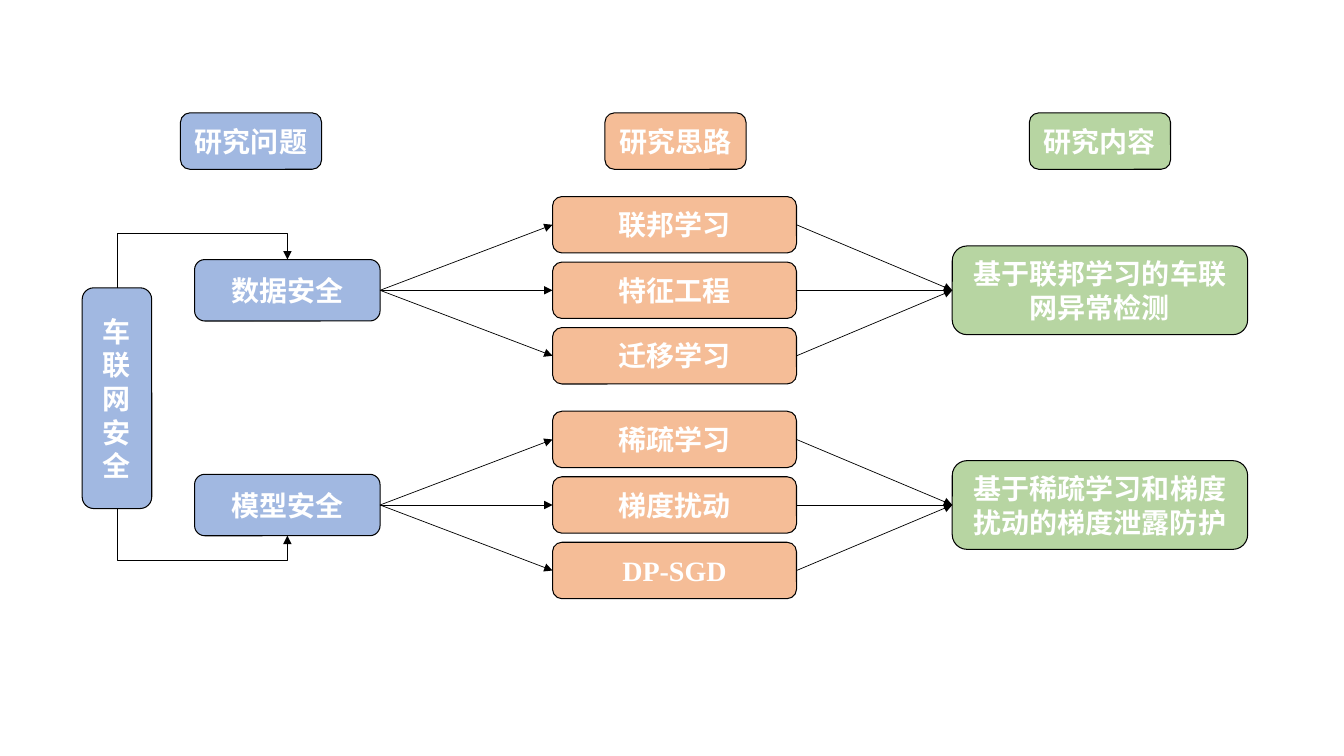
from dataclasses import dataclass

from lxml import etree
from pptx import Presentation
from pptx import util as u
from pptx.dml.color import RGBColor
from pptx.enum import shapes, text
from pptx.oxml.ns import qn


@dataclass(frozen=True)
class Theme:
    """Colours, type and line widths of the slide."""
    blue: str = "4472C4"
    orange: str = "ED7D31"
    green: str = "70AD47"
    ink: str = "000000"
    white: str = "FFFFFF"
    font: str = "Times New Roman"
    size: float = 20
    border: float = 0.75
    arrow: float = 0.5
    alpha: int = 50


class Diagram:
    """Draws boxes and arrows on one slide in one theme."""

    def __init__(self, slide, theme):
        self.shapes = slide.shapes
        self.theme = theme

    def _line(self, line, width):
        line.color.rgb = RGBColor.from_string(self.theme.ink)
        line.width = u.Pt(width)

    def box(self, label, colour, cx, cy, width, height):
        """Add a translucent rounded box centred on a point."""
        t = self.theme
        sp = self.shapes.add_shape(
            shapes.MSO_SHAPE.ROUNDED_RECTANGLE,
            u.Inches(cx - width / 2), u.Inches(cy - height / 2),
            u.Inches(width), u.Inches(height))
        sp.shadow.inherit = False
        sp.fill.solid()
        sp.fill.fore_color.rgb = RGBColor.from_string(colour)
        rgb = sp.fill._xPr.find(qn("a:solidFill")).find(qn("a:srgbClr"))
        etree.SubElement(rgb, qn("a:alpha"), val=str(t.alpha * 1000))
        self._line(sp.line, t.border)
        tf = sp.text_frame
        tf.word_wrap = True
        tf.vertical_anchor = text.MSO_ANCHOR.MIDDLE
        tf.text = label
        p = tf.paragraphs[0]
        p.alignment = text.PP_ALIGN.CENTER
        font = p.runs[0].font
        font.name, font.size, font.bold = t.font, u.Pt(t.size), True
        font.color.rgb = RGBColor.from_string(t.white)

    def arrow(self, start, end, kind=shapes.MSO_CONNECTOR.STRAIGHT):
        """Add a connector with a triangle at its end."""
        cn = self.shapes.add_connector(
            kind, *(u.Inches(v) for v in (*start, *end)))
        self._line(cn.line, self.theme.arrow)
        etree.SubElement(cn.line._get_or_add_ln(), qn("a:tailEnd"), type="triangle")
        etree.SubElement(cn._element.spPr, qn("a:effectLst"))
        return cn

    def elbow(self, start, end, rotation, bend):
        """Add a bent arrow that leaves and arrives vertically."""
        (x1, y1), (x2, y2) = start, end
        cx, cy = (x1 + x2) / 2, (y1 + y2) / 2
        dx, dy = (x2 - x1) / 2, (y2 - y1) / 2
        turn = 1 if rotation == 90 else -1
        hx, hy = turn * dy, -turn * dx
        cn = self.arrow((cx - hx, cy - hy), (cx + hx, cy + hy),
                        shapes.MSO_CONNECTOR.ELBOW)
        spPr = cn._element.spPr
        spPr.find(qn("a:xfrm")).set("rot", str(rotation * 60000))
        geom = spPr.find(qn("a:prstGeom"))
        guides = geom.find(qn("a:avLst"))
        if guides is None:
            guides = etree.SubElement(geom, qn("a:avLst"))
        etree.SubElement(guides, qn("a:gd"), name="adj1",
                         fmla=f"val {round(bend * 100000)}")


def main():
    """Build the research overview and save it."""
    prs = Presentation()
    prs.slide_width, prs.slide_height = u.Inches(13.33), u.Inches(7.5)
    theme = Theme()
    d = Diagram(prs.slides.add_slide(prs.slide_layouts[6]), theme)

    headers = [("研究问题", theme.blue), ("研究思路", theme.orange),
               ("研究内容", theme.green)]
    for i, (label, colour) in enumerate(headers):
        d.box(label, colour, 2.49 + 4.21 * i, 1.4, 1.4, 0.56)

    root_x, root_y, root_h = 1.16, 3.95, 2.19
    problem_x, problem_w, problem_h = 2.85, 1.84, 0.61
    idea_x, idea_w, idea_step = 6.69, 2.42, 0.65
    content_x, content_w = 10.91, 2.93
    d.box("车联网安全", theme.blue, root_x, root_y, 0.69, root_h)

    branches = [
        (2.88, -1, 90, "数据安全", ["联邦学习", "特征工程", "迁移学习"],
         "基于联邦学习的车联网异常检测"),
        (5.01, 1, 270, "模型安全", ["稀疏学习", "梯度扰动", "DP-SGD"],
         "基于稀疏学习和梯度扰动的梯度泄露防护"),
    ]
    for y, side, rotation, problem, ideas, content in branches:
        d.box(problem, theme.blue, problem_x, y, problem_w, problem_h)
        d.box(content, theme.green, content_x, y, content_w, 0.88)
        for i, idea in enumerate(ideas):
            idea_y = y + (i - 1) * idea_step
            d.box(idea, theme.orange, idea_x, idea_y, idea_w, 0.56)
            d.arrow((problem_x + problem_w / 2, y), (idea_x - idea_w / 2, idea_y))
            d.arrow((idea_x + idea_w / 2, idea_y), (content_x - content_w / 2, y))
        d.elbow((root_x, root_y + side * root_h / 2),
                (problem_x, y + side * problem_h / 2), rotation, 1.91)

    prs.save("out.pptx")


if __name__ == "__main__":
    main()
